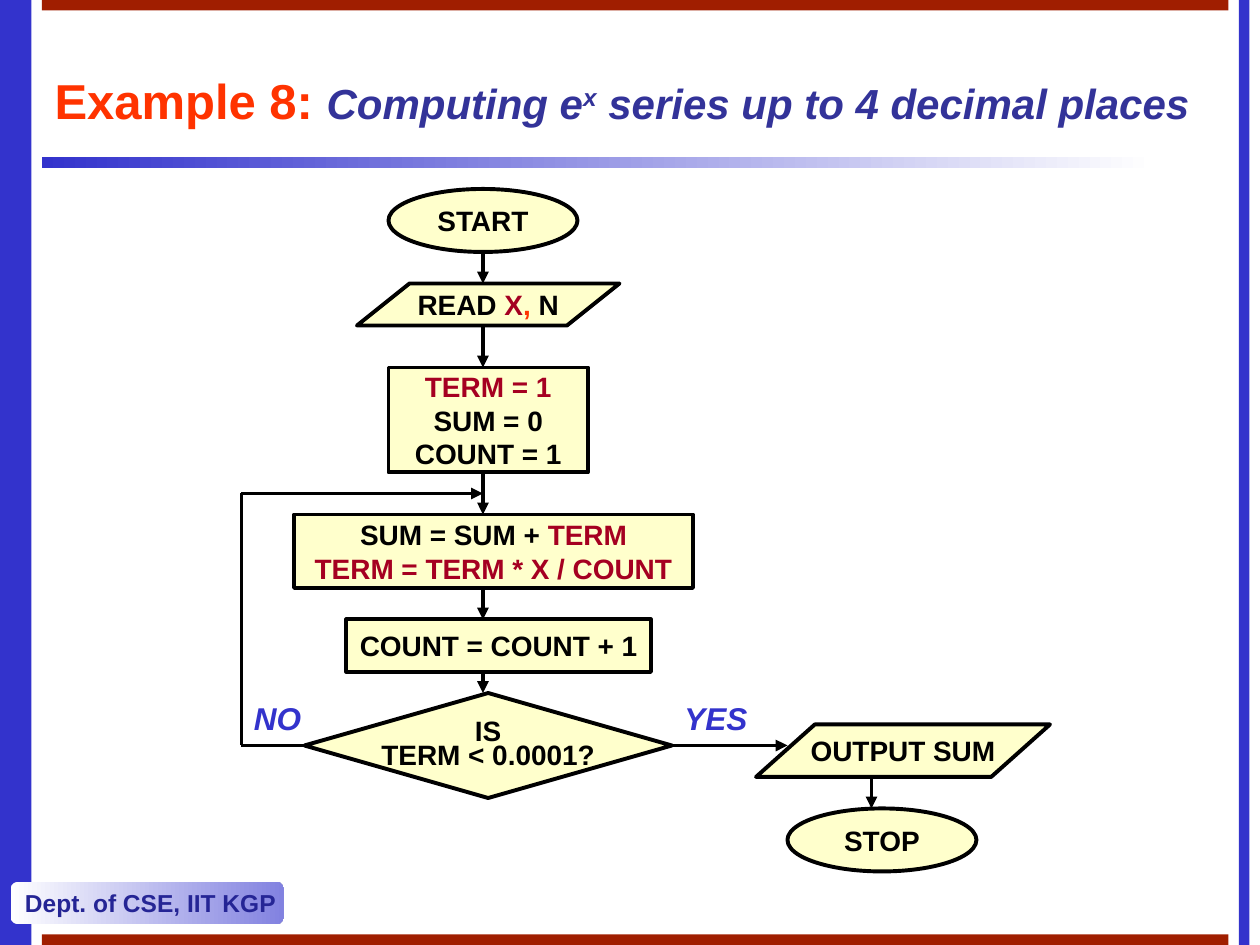
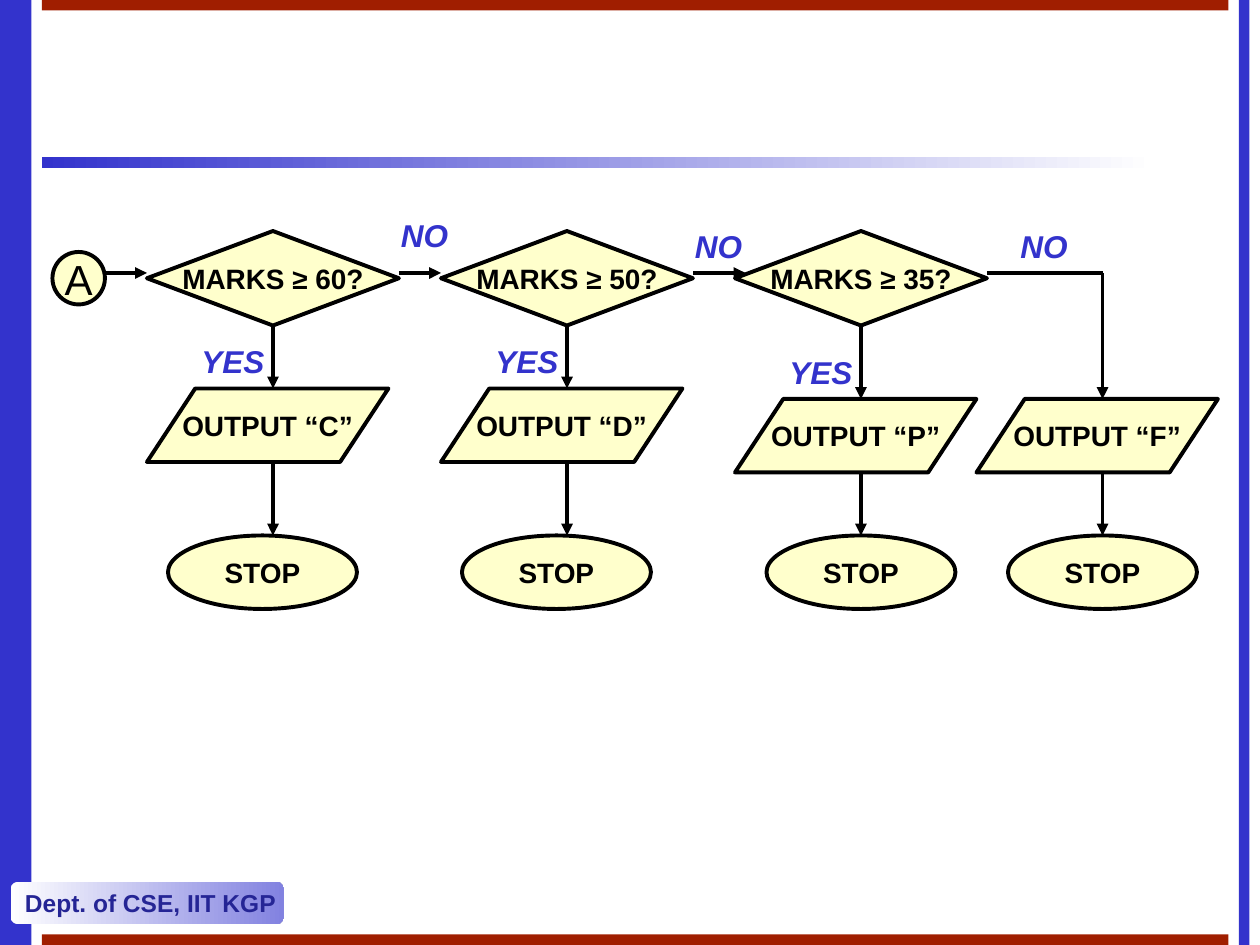
from dataclasses import dataclass, replace

from lxml.etree import SubElement
from pptx import Presentation
from pptx.dml.color import RGBColor
from pptx.enum.shapes import MSO_CONNECTOR, MSO_SHAPE as Preset
from pptx.enum.text import MSO_ANCHOR as Anchor, MSO_AUTO_SIZE as AutoSize, PP_ALIGN as Align
from pptx.oxml.ns import qn
from pptx.util import Emu, Pt

PX = 7620
TOP, LEFT, BOTTOM, RIGHT = range(4)


@dataclass(frozen=True)
class Style:
    size: int
    color: str
    bold: bool = True
    italic: bool = False
    baseline: int = 0


@dataclass(frozen=True)
class Theme:
    font: str = "Arial"
    blue: str = "3333CC"
    pale_blue: str = "8282E0"
    brick: str = "A01E00"
    cream: str = "FFFFCC"
    white: str = "FFFFFF"
    black: str = "000000"
    stroke: float = 2.25
    heading: Style = Style(28, "FF3300")
    subject: Style = Style(24, "333399", italic=True)
    node: Style = Style(16, "000000")
    changed: Style = Style(16, "A50021")
    comma: Style = Style(16, "FF3300")
    marker: Style = Style(24, "000000", bold=False)
    answer: Style = Style(18, "3333CC", italic=True)
    tag: Style = Style(14, "252595")


THEME = Theme()


@dataclass(frozen=True)
class Box:
    left: int
    top: int
    width: int
    height: int

    def inner(self, left, top, width, height):
        return Box(self.left + left, self.top + top, width, height)

    def point(self, across, down):
        return self.left + across, self.top + down

    def emu(self):
        return [Emu(px * PX) for px in (self.left, self.top, self.width, self.height)]


def apply_font(font, style):
    font.name = THEME.font
    font.size = Pt(style.size)
    font.bold = style.bold
    font.italic = style.italic
    font.color.rgb = RGBColor.from_string(style.color)


def write(frame, lines, align=Align.CENTER, spacing=()):
    for index, spans in enumerate(lines):
        para = frame.paragraphs[0] if index == 0 else frame.add_paragraph()
        para.alignment = align
        if spacing:
            para.line_spacing = spacing[index]
        shared = len({style for _, style in spans}) == 1
        if shared:
            apply_font(para.font, spans[0][1])
        for text, style in spans:
            span = para.add_run()
            span.text = text
            if not shared:
                apply_font(span.font, style)
            if style.baseline:
                span._r.get_or_add_rPr().set("baseline", str(style.baseline))


def plain(*texts, style=THEME.node):
    return [[(text, style)] for text in texts]


def add_block(page, box, *colors, preset=Preset.RECTANGLE):
    block = page.shapes.add_shape(preset, *box.emu())
    block.shadow.inherit = False
    block.line.fill.background()
    if len(colors) == 1:
        block.fill.solid()
        block.fill.fore_color.rgb = RGBColor.from_string(colors[0])
    else:
        block.fill.gradient()
        block.fill.gradient_angle = 0
        for stop, color in zip(block.fill.gradient_stops, colors):
            stop.color.rgb = RGBColor.from_string(color)
    block.text_frame.word_wrap = False
    block.text_frame.vertical_anchor = Anchor.MIDDLE
    return block


def add_node(page, preset, box, lines, spacing=()):
    node = add_block(page, box, THEME.cream, preset=preset)
    node.line.color.rgb = RGBColor.from_string(THEME.black)
    node.line.width = Pt(THEME.stroke)
    write(node.text_frame, lines, spacing=spacing)
    return node


def add_line(page, start, end, arrow=True, origin=None):
    line = page.shapes.add_connector(
        MSO_CONNECTOR.STRAIGHT, *(Emu(px * PX) for px in (*start, *end)))
    if origin:
        line.begin_connect(*origin)
    line.line.color.rgb = RGBColor.from_string(THEME.black)
    line.line.width = Pt(THEME.stroke)
    if arrow:
        SubElement(line.line._get_or_add_ln(), qn("a:tailEnd"), type="triangle")
    SubElement(line._element.spPr, qn("a:effectLst"))


def add_answer(page, box, left, top, text):
    label = page.shapes.add_textbox(*box.inner(left, top, 140, 48).emu())
    label.text_frame.word_wrap = True
    write(label.text_frame, plain(text, style=THEME.answer), Align.LEFT)


def draw_frame(page, box):
    add_block(page, box.inner(0, 0, 30, box.height), THEME.blue)
    add_block(page, box.inner(40, 150, 1060, 10), THEME.blue, THEME.white)
    tag = add_block(page, box.inner(10, 840, 260, 40), THEME.white, THEME.pale_blue,
                    preset=Preset.ROUNDED_RECTANGLE)
    write(tag.text_frame, plain("Dept. of CSE, IIT KGP", style=THEME.tag), Align.LEFT)
    add_block(page, box.inner(box.width - 20, 0, 10, box.height), THEME.blue)
    for top in (0, box.height - 10):
        add_block(page, box.inner(40, top, 1130, 10), THEME.brick)


def draw_title(page, box, spans):
    title = page.shapes.title
    title.left, title.top, title.width, title.height = box.emu()
    title.text_frame.auto_size = AutoSize.NONE
    title.text_frame.vertical_anchor = Anchor.MIDDLE
    write(title.text_frame, [spans], Align.LEFT)


def draw_series_loop(page, box):
    node, changed = THEME.node, THEME.changed
    add_node(page, Preset.OVAL, box.inner(140, 0, 180, 60), plain("START"))
    add_node(page, Preset.FLOWCHART_DATA, box.inner(110, 90, 250, 40),
             [[("READ ", node), ("X", changed), (",", THEME.comma), (" N", node)]])
    add_node(page, Preset.RECTANGLE, box.inner(140, 170, 190, 100),
             plain("TERM = 1", style=changed) + plain("SUM = 0", "COUNT = 1"))
    add_node(page, Preset.RECTANGLE, box.inner(50, 310, 380, 70),
             [[("SUM = SUM + ", node), ("TERM", changed)],
              [("TERM = TERM * X / COUNT", changed)]])
    add_node(page, Preset.RECTANGLE, box.inner(100, 410, 290, 50), plain("COUNT = COUNT + 1"))
    test = add_node(page, Preset.FLOWCHART_DECISION, box.inner(60, 480, 350, 100),
                    plain("IS", "TERM < 0.0001?"), spacing=(0.8, 0.7))
    add_node(page, Preset.FLOWCHART_DATA, box.inner(490, 510, 280, 50), plain("OUTPUT SUM"))
    add_node(page, Preset.OVAL, box.inner(520, 590, 180, 60), plain("STOP"))

    axis = 230
    for start, end in ((60, 90), (130, 170), (270, 310), (380, 410), (460, 480)):
        add_line(page, box.point(axis, start), box.point(axis, end))
    add_line(page, box.point(60, 530), box.point(0, 530), arrow=False, origin=(test, LEFT))
    add_line(page, box.point(0, 530), box.point(0, 290), arrow=False)
    add_line(page, box.point(0, 290), box.point(axis, 290))
    add_line(page, box.point(410, 530), box.point(520, 530), origin=(test, RIGHT))
    add_line(page, box.point(600, 560), box.point(600, 590))
    add_answer(page, box, 410, 480, "YES")
    add_answer(page, box, 0, 480, "NO")


def draw_outcome(page, box, axis, grade, output_top, stop_left):
    add_node(page, Preset.FLOWCHART_DATA, box.inner(axis - 120, output_top, 230, 70),
             plain(f"OUTPUT “{grade}”"))
    add_node(page, Preset.OVAL, box.inner(stop_left, 310, 180, 70), plain("STOP"))
    add_line(page, box.point(axis, output_top + 70), box.point(axis, 310))


def draw_grade_chain(page, box):
    add_node(page, Preset.FLOWCHART_CONNECTOR, box.inner(0, 40, 50, 50),
             plain("A", style=THEME.marker))
    add_line(page, box.point(50, 60), box.point(90, 60))
    grades = ((60, "C", 170, 100), (50, "D", 170, 100), (35, "P", 180, 90))
    for index, (marks, grade, output_top, stop_shift) in enumerate(grades):
        axis = 210 + 280 * index
        test = add_node(page, Preset.FLOWCHART_DECISION, box.inner(axis - 120, 20, 240, 90),
                        plain(f"MARKS ≥ {marks}?"))
        draw_outcome(page, box, axis, grade, output_top, axis - stop_shift)
        add_line(page, box.point(axis, 110), box.point(axis, output_top), origin=(test, BOTTOM))
        add_answer(page, box, axis - 80, output_top - 50, "YES")

    last_axis = 1000
    draw_outcome(page, box, last_axis, "F", 180, last_axis - 90)
    for start, end, arrow in ((330, 370, True), (610, 660, True), (890, last_axis, False)):
        add_line(page, box.point(start, 60), box.point(end, 60), arrow)
    add_line(page, box.point(last_axis, 60), box.point(last_axis, 180))
    for left, top in ((320, 0), (600, 10), (910, 10)):
        add_answer(page, box, left, top, "NO")


def main():
    deck = Presentation()
    canvas = Box(0, 0, 1200, 900)
    _, _, deck.slide_width, deck.slide_height = canvas.emu()
    title_only, blank = deck.slide_layouts[5], deck.slide_layouts[6]

    series_page = deck.slides.add_slide(title_only)
    draw_frame(series_page, canvas)
    draw_title(series_page, canvas.inner(40, 40, 1130, 110), [
        ("Example 8: ", THEME.heading),
        ("Computing e", THEME.subject),
        ("x", replace(THEME.subject, baseline=30000)),
        (" series up to 4 decimal places", THEME.subject),
    ])
    draw_series_loop(series_page, canvas.inner(230, 180, 770, 650))

    grades_page = deck.slides.add_slide(blank)
    draw_frame(grades_page, canvas)
    draw_grade_chain(grades_page, canvas.inner(50, 200, 1110, 380))

    deck.save("out.pptx")


if __name__ == "__main__":
    main()
